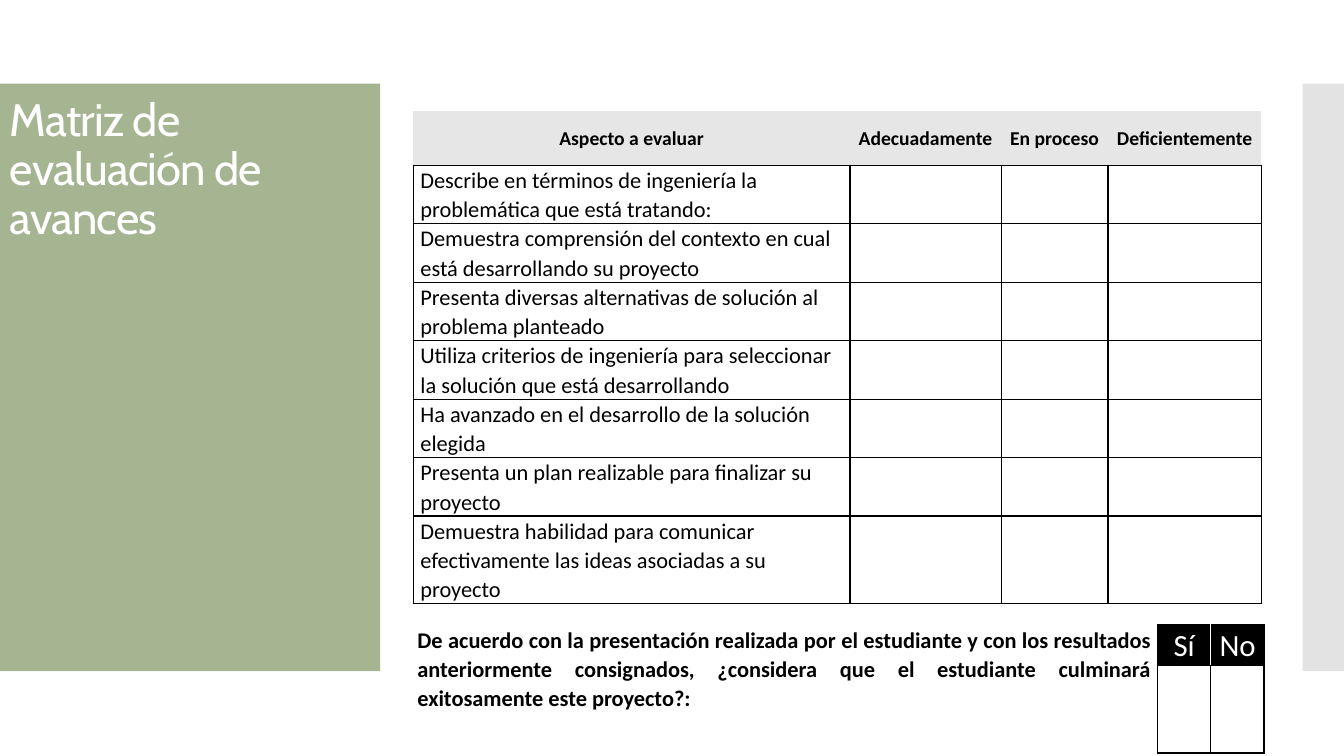
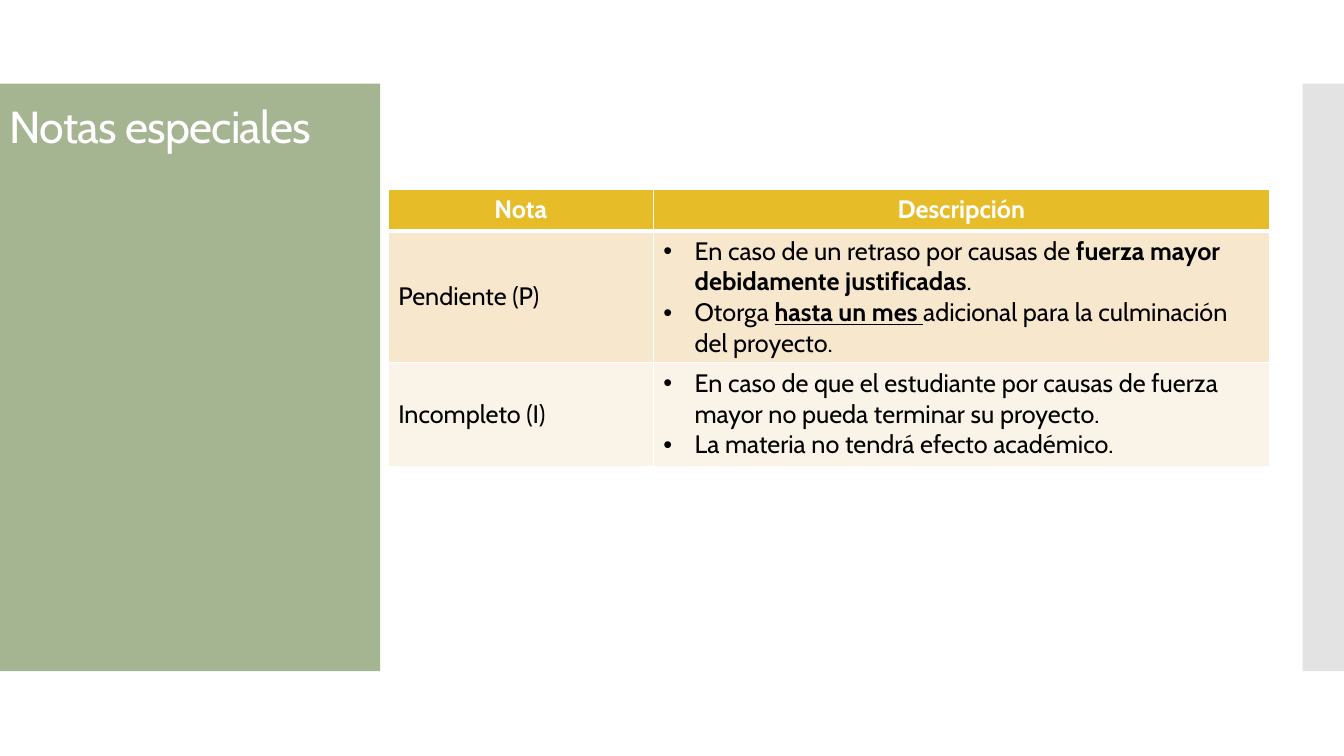
from collections import namedtuple
from dataclasses import dataclass

from lxml.etree import SubElement
from pptx import Presentation
from pptx.dml.color import RGBColor as Rgb
from pptx.enum.shapes import MSO_SHAPE as Shape
from pptx.enum.text import MSO_ANCHOR as Anchor, PP_ALIGN as Align
from pptx.oxml.ns import qn
from pptx.util import Inches, Pt

Box = namedtuple("Box", "left top width height")
Line = namedtuple("Line", "color points")


@dataclass(frozen=True)
class Theme:
    """Colours, fonts and type sizes shared by the slides."""
    white: str = "FFFFFF"
    black: str = "000000"
    title_band: str = "A5B592"
    edge_band: str = "C8C8C8"
    matrix_header: str = "E7E6E6"
    grades_header: str = "E7BC29"
    grades_rows: tuple = ("F6E7CD", "FAF3E8")
    display: str = "Cabin"
    body: str = "Calibri"
    matrix_title: float = 32.4
    grades_title: float = 32
    answer: float = 22
    grades: float = 18
    criterion: float = 16
    heading: float = 14


THEME = Theme()
SLIDE = Box(0, 0, 13.33, 7.5)
TITLE_BAND = Box(0, 0.83, 3.77, 5.83)
EDGE_BAND = Box(12.92, 0.83, 0.41, 5.83)
THIN = Line(THEME.black, 1)
THICK = Line(THEME.black, 1.5)
WHITE_THIN = Line(THEME.white, 1)
WHITE_THICK = Line(THEME.white, 3)
GRID = dict.fromkeys("LRTB", THIN)
WHITE_GRID = dict.fromkeys("LRTB", WHITE_THIN)

RATINGS = ("Adecuadamente", "En proceso", "Deficientemente")
CRITERIA = (
    "Describe en términos de ingeniería la problemática que está tratando:",
    "Demuestra comprensión del contexto en cual está desarrollando su proyecto",
    "Presenta diversas alternativas de solución al problema planteado",
    "Utiliza criterios de ingeniería para seleccionar la solución que está desarrollando",
    "Ha avanzado en el desarrollo de la solución elegida",
    "Presenta un plan realizable para finalizar su proyecto",
    "Demuestra habilidad para comunicar efectivamente las ideas asociadas a su proyecto",
)
QUESTION = (
    "De acuerdo con la presentación realizada por el estudiante y con los resultados "
    "anteriormente consignados, ¿considera que el estudiante culminará exitosamente "
    "este proyecto?:"
)
STRONG = {"bold": True}
UNDERLINED = {"bold": True, "underline": True}
SPECIAL_GRADES = (
    ("Pendiente (P)", (
        (("En caso de un retraso por causas de ", {}),
         ("fuerza mayor debidamente justificadas", STRONG), (".", {})),
        (("Otorga ", {}), ("hasta un mes ", UNDERLINED),
         ("adicional para la culminación del proyecto.", {})),
    )),
    ("Incompleto (I)", (
        (("En caso de que el estudiante por causas de fuerza mayor no pueda "
          "terminar su proyecto.", {}),),
        (("La materia no tendrá efecto académico.", {}),),
    )),
)


def apply(target, values):
    """Set each named attribute of the target."""
    for name, value in values.items():
        setattr(target, name, value)


def inches(box):
    """Turn a box into lengths."""
    return [Inches(length) for length in box]


def font_format(name, size, bold=False):
    """Return the font values of a text style."""
    return {"name": name, "size": Pt(size), "bold": bold}


def write(paragraph, pieces, font, color, **layout):
    """Fill a paragraph with runs; each piece is a text and its emphasis."""
    apply(paragraph, layout)
    for text, emphasis in pieces:
        run = paragraph.add_run()
        run.text = text
        apply(run.font, {**font, **emphasis})
        run.font.color.rgb = Rgb.from_string(color)


def add_bullet(paragraph, indent):
    """Give a paragraph a hanging bullet."""
    properties = paragraph._p.get_or_add_pPr()
    properties.set("marL", str(Inches(indent)))
    properties.set("indent", str(-Inches(indent)))
    SubElement(properties, qn("a:buFont"), typeface="Arial")
    SubElement(properties, qn("a:buChar"), char="•")


def format_cell(cell, borders, fill=None, inset=(0.1, 0.05), anchor=Anchor.TOP):
    """Set the borders, fill, margins and anchor of a cell."""
    properties = cell._tc.get_or_add_tcPr()
    for side in "LRTB":
        line = borders.get(side)
        edge = SubElement(properties, qn(f"a:ln{side}"))
        if line:
            edge.set("w", str(Pt(line.points)))
            paint = SubElement(edge, qn("a:solidFill"))
            SubElement(paint, qn("a:srgbClr"), val=line.color)
        else:
            SubElement(edge, qn("a:noFill"))
    if fill:
        cell.fill.solid()
        cell.fill.fore_color.rgb = Rgb.from_string(fill)
    else:
        cell.fill.background()
    across, down = map(Inches, inset)
    apply(cell, {"margin_left": across, "margin_right": across, "margin_top": down,
                 "margin_bottom": down, "vertical_anchor": anchor})


def add_grid(slide, box, widths, heights):
    """Add a plain table with the given columns and rows."""
    grid = slide.shapes.add_table(len(heights), len(widths), *inches(box)).table
    apply(grid, {"first_row": False, "horz_banding": False})
    for column, width in zip(grid.columns, widths):
        column.width = Inches(width)
    for row, height in zip(grid.rows, heights):
        row.height = Inches(height)
    return grid


def add_band(slide, box, color, opacity=100):
    """Add a flat rectangle."""
    band = slide.shapes.add_shape(Shape.RECTANGLE, *inches(box))
    band.shadow.inherit = False
    band.line.fill.background()
    band.fill.solid()
    band.fill.fore_color.rgb = Rgb.from_string(color)
    if opacity < 100:
        tint = band.fill._xPr.find(".//" + qn("a:srgbClr"))
        SubElement(tint, qn("a:alpha"), val=str(opacity * 1000))


def add_title(slide, box, text, size):
    """Add the title over the green band."""
    frame = slide.shapes.add_textbox(*inches(box)).text_frame
    apply(frame, {"word_wrap": True, "vertical_anchor": Anchor.MIDDLE})
    heading = frame.paragraphs[0]
    write(heading, [(text, {})], font_format(THEME.display, size), THEME.white,
          line_spacing=0.9)
    heading.runs[0]._r.get_or_add_rPr().set("spc", "-60")


def add_banded_slide(deck, title, title_box, title_size):
    """Add a blank slide with the two bands and its title."""
    slide = deck.slides.add_slide(deck.slide_layouts[6])
    add_band(slide, TITLE_BAND, THEME.title_band)
    add_band(slide, EDGE_BAND, THEME.edge_band, opacity=50)
    add_title(slide, title_box, title, title_size)
    return slide


def add_matrix(slide, box):
    """Add the table of criteria and ratings."""
    ratings = (1.5, 1.06, 1.52)
    header, two_lines, three_lines = 0.54, 0.58, 0.87
    widths = (box.width - sum(ratings), *ratings)
    heights = (header, *[two_lines] * (len(CRITERIA) - 1), three_lines)
    grid = add_grid(slide, box, widths, heights)
    padding = {"inset": (0.07, 0), "anchor": Anchor.MIDDLE}
    for column, label in enumerate(("Aspecto a evaluar", *RATINGS)):
        cell = grid.cell(0, column)
        format_cell(cell, {"B": THIN}, THEME.matrix_header, **padding)
        write(cell.text_frame.paragraphs[0], [(label, {})],
              font_format(THEME.body, THEME.heading, True), THEME.black,
              alignment=Align.CENTER, line_spacing=1.07)
    for row, criterion in enumerate(CRITERIA, 1):
        for column in range(len(widths)):
            format_cell(grid.cell(row, column), GRID, **padding)
        write(grid.cell(row, 0).text_frame.paragraphs[0], [(criterion, {})],
              font_format(THEME.body, THEME.criterion), THEME.black, line_spacing=1.07)


def add_verdict(slide, box):
    """Add the closing question with its two answer boxes."""
    answer, header = 0.53, 0.4
    grid = add_grid(slide, box, (box.width - 2 * answer, answer, answer),
                    (header, box.height - header))
    inset = (0.06, 0)
    for row in range(2):
        format_cell(grid.cell(row, 0), {"R": THICK}, inset=inset)
    grid.cell(0, 0).merge(grid.cell(1, 0))
    write(grid.cell(0, 0).text_frame.paragraphs[0], [(QUESTION, {})],
          font_format(THEME.body, THEME.criterion, True), THEME.black,
          alignment=Align.JUSTIFY, line_spacing=1.07)
    answers = (("Sí", {"L": THICK, "R": WHITE_THIN}, {"L": THICK, "R": THIN}),
               ("No", {"L": WHITE_THIN, "R": THICK}, {"L": THIN, "R": THICK}))
    for column, (label, label_sides, blank_sides) in enumerate(answers, 1):
        cell = grid.cell(0, column)
        format_cell(cell, {**label_sides, "T": THICK, "B": THIN}, THEME.black, inset)
        write(cell.text_frame.paragraphs[0], [(label, {})],
              font_format(THEME.body, THEME.answer), THEME.white,
              alignment=Align.CENTER, line_spacing=1.07)
        format_cell(grid.cell(1, column), {**blank_sides, "T": THIN, "B": THICK})


def add_special_grades(slide, box):
    """Add the table of special grades."""
    name_width = 2.63
    grid = add_grid(slide, box, (name_width, box.width - name_width), (0.41, 1.31, 1.03))
    for column, label in enumerate(("Nota", "Descripción")):
        cell = grid.cell(0, column)
        format_cell(cell, {**WHITE_GRID, "B": WHITE_THICK}, THEME.grades_header)
        write(cell.text_frame.paragraphs[0], [(label, {})],
              font_format(THEME.display, THEME.grades, True), THEME.white,
              alignment=Align.CENTER)
    font = font_format(THEME.display, THEME.grades)
    for row, ((name, rules), fill) in enumerate(zip(SPECIAL_GRADES, THEME.grades_rows), 1):
        borders = {**WHITE_GRID, "T": WHITE_THICK} if row == 1 else WHITE_GRID
        name_cell, rules_cell = grid.cell(row, 0), grid.cell(row, 1)
        format_cell(name_cell, borders, fill, anchor=Anchor.MIDDLE)
        format_cell(rules_cell, borders, fill)
        write(name_cell.text_frame.paragraphs[0], [(name, {})], font, THEME.black)
        frame = rules_cell.text_frame
        for index, pieces in enumerate(rules):
            rule = frame.add_paragraph() if index else frame.paragraphs[0]
            write(rule, pieces, font, THEME.black)
            add_bullet(rule, 0.31)


def main():
    """Build and save the presentation."""
    deck = Presentation()
    apply(deck, {"slide_width": Inches(SLIDE.width), "slide_height": Inches(SLIDE.height)})
    matrix = add_banded_slide(deck, "Matriz de evaluación de avances",
                              Box(0, 0.87, 3.71, 1.65), THEME.matrix_title)
    add_matrix(matrix, Box(4.1, 1.1, 8.41, 4.89))
    add_verdict(matrix, Box(4.08, 6.2, 8.46, 1.27))
    grades = add_banded_slide(deck, "Notas especiales",
                              Box(0, 0.88, 3.61, 0.79), THEME.grades_title)
    add_special_grades(grades, Box(3.85, 1.88, 8.74, 2.75))
    deck.save("out.pptx")


if __name__ == "__main__":
    main()
